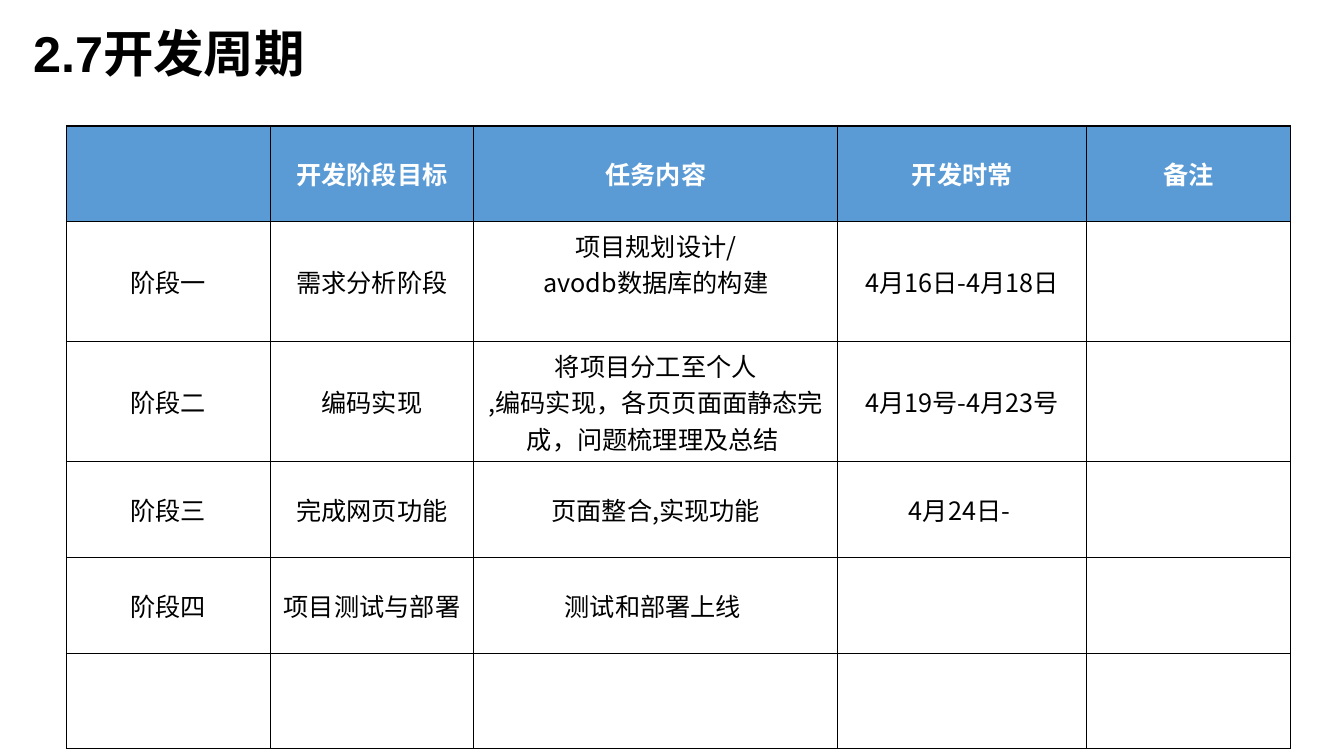
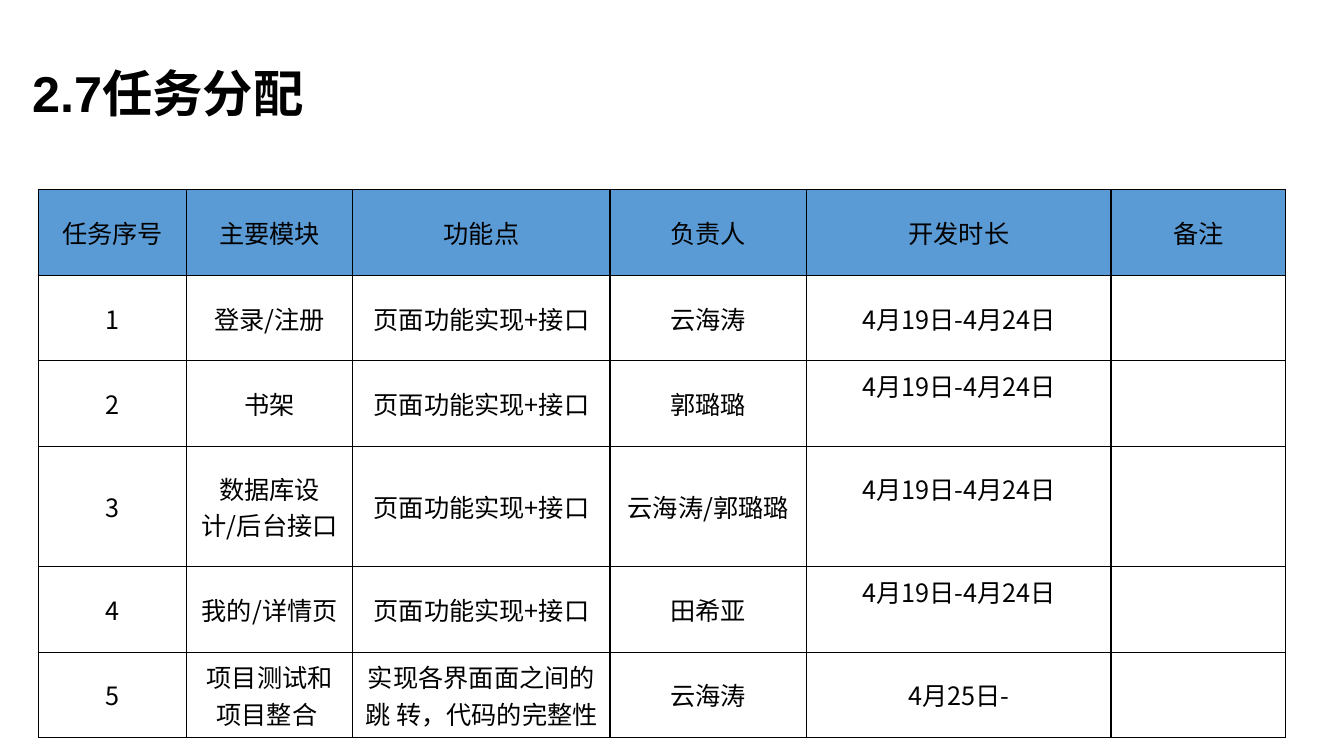
from lxml.etree import SubElement
from pptx import Presentation
from pptx.dml.color import RGBColor
from pptx.enum.lang import MSO_LANGUAGE_ID
from pptx.enum.text import MSO_ANCHOR, PP_ALIGN
from pptx.oxml.ns import qn
from pptx.util import Pt

PX = 9144  # 100 px to the inch
COLORS = {"text": "000000", "header": "5B9BD5", "header_text": "FFFFFF", "border": "000000"}
CJK = "Noto Sans CJK SC"
LINE = 36  # height of one line of table text
MARGIN = 5

STAGES = [
    ["", "开发阶段目标", "任务内容", "开发时常", "备注"],
    ["阶段一", "需求分析阶段", "项目规划设计/\navodb数据库的构建", "4月16日-4月18日", ""],
    ["阶段二", "编码实现",
     "将项目分工至个人\n,编码实现，各⻚页⾯面静态完 成，问题梳理理及总结 ", "4月19号-4月23号", ""],
    ["阶段三", "完成网页功能", "页面整合,实现功能", "4月24日- ", ""],
    ["阶段四", "项目测试与部署", "测试和部署上线 ", "", ""],
    [""] * 5,
]
FEATURE = "⻚面功能实现+接⼝"
PERIOD = "4月19日-4月24日"
TASKS = [
    ["任务序号", "主要模块", "功能点", "负责人", "开发时长", "备注"],
    ["1", "登录/注册", FEATURE, "云海涛", PERIOD, ""],
    ["2", "书架", FEATURE, "郭璐璐", PERIOD, ""],
    ["3", "数据库设计/后台接口", FEATURE, "云海涛/郭璐璐", PERIOD, ""],
    ["4", "我的/详情页", FEATURE, "田希亚", PERIOD, ""],
    ["5", "项目测试和项⽬整合 ", "实现各界⾯面之间的跳 转，代码的完整性 ", "云海涛", "4月25日-", ""],
]


def px(n):
    return round(n * PX)


def write(tf, text, size=18, font=CJK, color="text", bold=False, align=PP_ALIGN.CENTER,
          line_spacing=None, space_before=None):
    """Fill a text frame, one paragraph for each line of text."""
    for i, line in enumerate(text.split("\n")):
        p = tf.add_paragraph() if i else tf.paragraphs[0]
        p.alignment = align
        p.line_spacing = line_spacing
        p.space_before = space_before
        r = p.add_run()
        r.text = line
        r.font.size = Pt(size)
        r.font.bold = bold
        r.font.name = font
        r.font.language_id = MSO_LANGUAGE_ID.SIMPLIFIED_CHINESE
        r.font.color.rgb = RGBColor.from_string(COLORS[color])
        SubElement(r.font._element, qn("a:ea"), typeface=CJK)


def add_title(s, text, left, top):
    tf = s.shapes.add_textbox(px(left), px(top), px(1150), px(76)).text_frame
    tf.word_wrap = True
    write(tf, text, size=36, font="Arial", bold=True, align=PP_ALIGN.LEFT,
          line_spacing=0.9, space_before=Pt(10))


def add_borders(cell):
    tcPr = cell._tc.get_or_add_tcPr()
    for side in ("lnL", "lnR", "lnT", "lnB"):
        ln = SubElement(tcPr, qn(f"a:{side}"), w=str(Pt(1)))
        fill = SubElement(ln, qn("a:solidFill"))
        SubElement(fill, qn("a:srgbClr"), val=COLORS["border"])


def add_grid(s, rows, left, top, widths, heights, header, raised=()):
    """Add a bordered table; header formats row 0, raised cells sit half a line higher."""
    frame = s.shapes.add_table(len(rows), len(widths), px(left), px(top),
                               px(sum(widths)), px(sum(heights)))
    table = frame.table
    table.first_row = table.horz_banding = False
    for column, width in zip(table.columns, widths):
        column.width = px(width)
    for i, (row, height) in enumerate(zip(rows, heights)):
        table.rows[i].height = px(height)
        for j, text in enumerate(row):
            cell = table.cell(i, j)
            cell.vertical_anchor = MSO_ANCHOR.MIDDLE
            cell.margin_top = px(MARGIN)
            cell.margin_bottom = px(MARGIN + (LINE if (i, j) in raised else 0))
            add_borders(cell)
            if i == 0:
                cell.fill.solid()
                cell.fill.fore_color.rgb = RGBColor.from_string(COLORS["header"])
            else:
                cell.fill.background()
            if text:
                write(cell.text_frame, text, **(header if i == 0 else {}))


def add_slide(prs):
    return prs.slides.add_slide(prs.slide_layouts[6])


def main():
    prs = Presentation()
    prs.slide_width, prs.slide_height = px(1333), px(750)

    s = add_slide(prs)
    add_title(s, "2.7开发周期", 23, 24)
    add_grid(s, STAGES, 66, 125, [202, 202, 361, 247, 202], [95, 119, 119, 95, 95, 95],
             header={"font": "Calibri", "color": "header_text", "bold": True},
             raised={(1, 2)})

    s = add_slide(prs)
    add_title(s, "2.7任务分配", 22, 64)
    add_grid(s, TASKS, 38, 188, [147, 165, 255, 195, 302, 173], [85, 85, 85, 119, 85, 85],
             header={}, raised={(i, 4) for i in (2, 3, 4)})

    prs.save("out.pptx")


if __name__ == "__main__":
    main()
